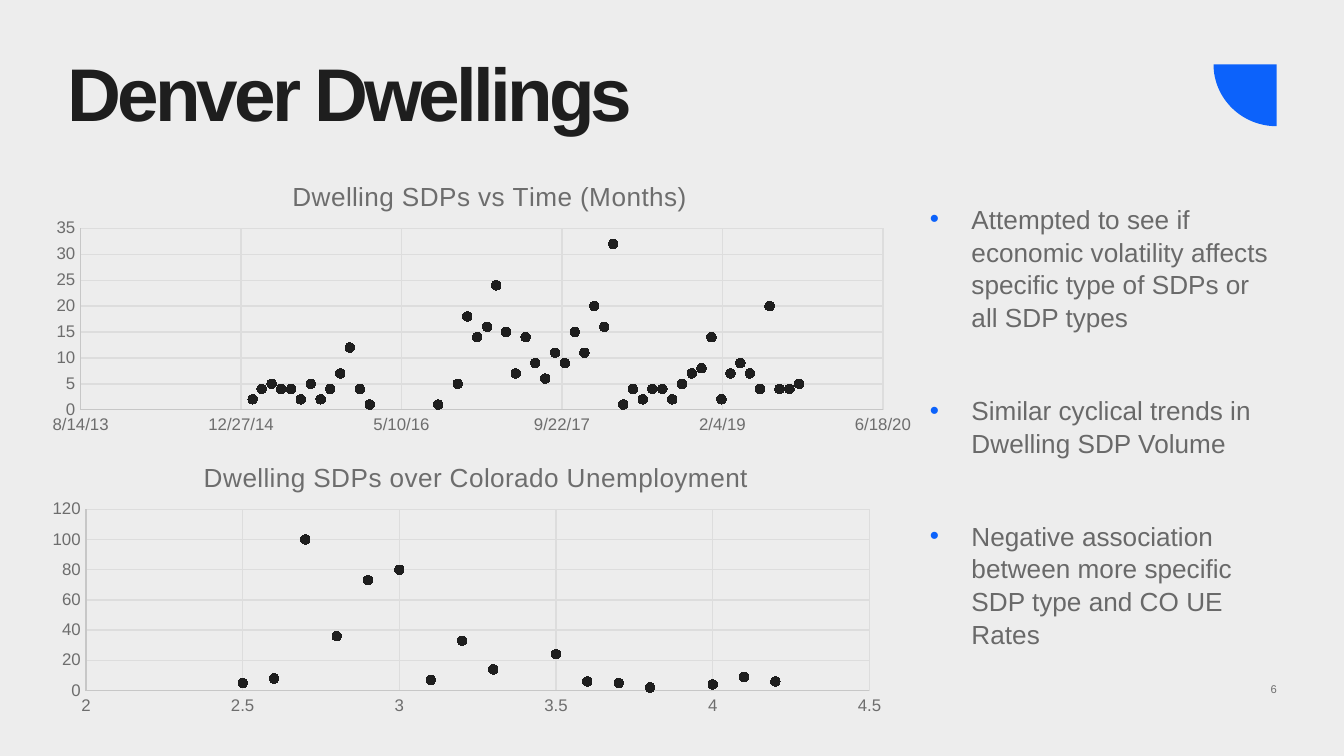
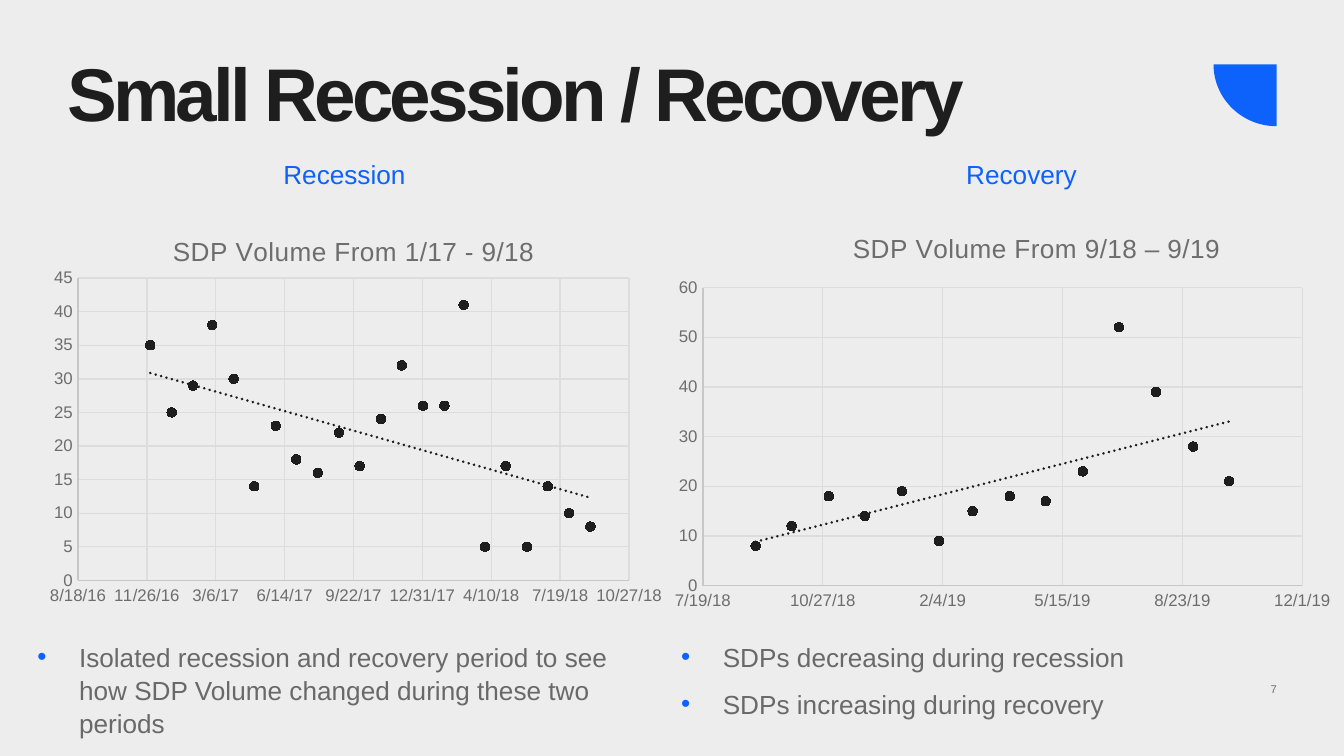
"""Builds two slides about dwelling SDP volume with scatter charts and bullets."""
from dataclasses import dataclass
from itertools import chain
from math import cos, pi, sin
from typing import Optional, Sequence

from lxml.etree import SubElement
from pptx import Presentation
from pptx.chart.data import XyChartData
from pptx.dml.color import RGBColor
from pptx.enum.chart import XL_CHART_TYPE as ChartType
from pptx.enum.chart import XL_MARKER_STYLE as MarkerStyle
from pptx.enum.chart import XL_TICK_MARK as TickMark
from pptx.enum.text import MSO_ANCHOR as Anchor
from pptx.enum.text import MSO_AUTO_SIZE as AutoSize
from pptx.enum.text import PP_ALIGN as Align
from pptx.oxml import parse_xml
from pptx.oxml.ns import nsdecls, qn
from pptx.util import Inches, Pt

FONT = "Arial"
PAPER, INK, BLUE = "EDEDED", "1E1E1E", "0C62FB"
BODY, LABEL, NUMBER = "696969", "6D6D6D", "6E6E6E"
AXIS, GRID = "C7C7C7", "DDDDDD"
WIDTH, HEIGHT = Inches(10), Inches(5.625)
CELL = WIDTH / 100
TITLE_ONLY = 5


@dataclass(frozen=True)
class Box:
    """An area in grid cells, each a hundredth of the slide's width."""
    left: float
    top: float
    width: float
    height: float

    def lengths(self) -> list[int]:
        """Return left, top, width and height as slide lengths."""
        return [round(cells * CELL)
                for cells in (self.left, self.top, self.width, self.height)]


@dataclass(frozen=True)
class Scatter:
    """A scatter chart with the places of its frame, plot and heading."""
    heading: str
    frame: Box
    plot: Box
    heading_left: float
    heading_top: float
    across: Sequence[float]
    values: Sequence[float]
    dated: bool = True
    trend: bool = False
    minimum: Optional[float] = None


@dataclass(frozen=True)
class Words:
    """Paragraphs in one text box."""
    lines: Sequence[str]
    box: Box
    color: str = BODY
    bulleted: bool = True
    gap: float = 7.5


@dataclass(frozen=True)
class Page:
    """Everything that one slide shows."""
    number: int
    title: str
    title_box: Box
    charts: Sequence[Scatter]
    texts: Sequence[Words]


def rgb(color: str) -> RGBColor:
    """Turn a hex string into a colour."""
    return RGBColor.from_string(color)


def month_starts(year: int, month: int, count: int) -> list[int]:
    """Return date serials of the first day of successive months."""
    serials = []
    for index in range(month - 1, month - 1 + count):
        y, m = year + index // 12, index % 12 + 1
        serials.append(367 * y - 7 * (y + (m + 9) // 12) // 4 + 275 * m // 9 - 694004)
    return serials


def style_font(font, size: float, color: str, bold: bool = False) -> None:
    """Apply the deck's typeface with a size and colour."""
    font.name, font.size, font.bold = FONT, Pt(size), bold
    font.color.rgb = rgb(color)


def style_line(line, color: str) -> None:
    """Give a chart line its colour and thin width."""
    line.color.rgb, line.width = rgb(color), Pt(0.75)


def clear_margins(frame) -> None:
    """Remove all insets of a text frame."""
    frame.margin_left = frame.margin_right = frame.margin_top = frame.margin_bottom = 0


def add_bullet(para) -> None:
    """Give a paragraph a blue bullet and a hanging indent."""
    properties = para._p.get_or_add_pPr()
    properties.set("marL", str(Inches(0.31)))
    properties.set("indent", str(-Inches(0.31)))
    SubElement(SubElement(properties, qn("a:buClr")), qn("a:srgbClr"), val=BLUE)
    SubElement(properties, qn("a:buFont"), typeface=FONT)
    SubElement(properties, qn("a:buChar"), char="•")


def add_words(slide, words: Words) -> None:
    """Draw a text box with plain or bulleted paragraphs."""
    frame = slide.shapes.add_textbox(*words.box.lengths()).text_frame
    frame.word_wrap = True
    frame.text = "\n".join(words.lines)
    for para in frame.paragraphs:
        para.space_before, para.line_spacing = Pt(words.gap), 1.05
        style_font(para.runs[0].font, 14, words.color)
        if words.bulleted:
            add_bullet(para)


def add_title(slide, text: str, box: Box) -> None:
    """Place and format the title placeholder."""
    title = slide.shapes.title
    title.left, title.top, title.width, title.height = box.lengths()
    frame = title.text_frame
    frame.text = text
    frame.word_wrap, frame.auto_size = True, AutoSize.NONE
    frame.vertical_anchor = Anchor.TOP
    clear_margins(frame)
    para = frame.paragraphs[0]
    para.alignment, para.line_spacing = Align.LEFT, 0.8
    run = para.runs[0]
    style_font(run.font, 40, INK, bold=True)
    run._r.get_or_add_rPr().set("spc", "-200")


def add_number(slide, number: int) -> None:
    """Write the page number at the lower right."""
    frame = slide.shapes.add_textbox(*Box(89, 49.9, 6, 1.9).lengths()).text_frame
    frame.word_wrap, frame.vertical_anchor = True, Anchor.BOTTOM
    clear_margins(frame)
    frame.text = str(number)
    para = frame.paragraphs[0]
    para.alignment, para.line_spacing, para.space_before = Align.RIGHT, 1.5, Pt(12)
    style_font(para.runs[0].font, 6, NUMBER)


def add_wedge(slide) -> None:
    """Draw the blue quarter disc at the upper right."""
    right, top, across, down, steps = 95, 4.8, 4.7, 4.6, 32
    angles = [pi / 2 * step / steps for step in range(steps + 1)]
    arc = [((right - across * cos(angle)) * CELL, (top + down * sin(angle)) * CELL)
           for angle in angles]
    builder = slide.shapes.build_freeform(round(right * CELL), round(top * CELL))
    builder.add_line_segments(arc, close=True)
    wedge = builder.convert_to_shape()
    wedge.shadow.inherit = False
    wedge.fill.solid()
    wedge.fill.fore_color.rgb = rgb(BLUE)
    wedge.line.fill.background()


def set_layout(parent, index: int, target: str = "", **shares: float) -> None:
    """Fix the place of a chart part by shares of the chart's frame."""
    for old in parent.findall(qn("c:layout")):
        parent.remove(old)
    layout = parse_xml(f"<c:layout {nsdecls('c')}/>")
    parent.insert(index, layout)
    manual = SubElement(layout, qn("c:manualLayout"))
    if target:
        SubElement(manual, qn("c:layoutTarget"), val=target)
    for mode in ("xMode", "yMode"):
        SubElement(manual, qn(f"c:{mode}"), val="edge")
    for name, share in shares.items():
        SubElement(manual, qn(f"c:{name}"), val=f"{share:.4f}")


def add_trend(series) -> None:
    """Add a dotted linear trend line to a series."""
    trend = parse_xml(
        f'<c:trendline {nsdecls("c", "a")}><c:spPr><a:ln w="{Pt(1.5)}" cap="rnd">'
        f'<a:solidFill><a:srgbClr val="{INK}"/></a:solidFill>'
        '<a:prstDash val="sysDot"/></a:ln></c:spPr><c:trendlineType val="linear"/>'
        '<c:dispRSqr val="0"/><c:dispEq val="0"/></c:trendline>')
    series._element.find(qn("c:xVal")).addprevious(trend)


def add_heading(chart, scatter: Scatter) -> None:
    """Write and place the chart's heading."""
    frame = chart.chart_title.text_frame
    frame.text = scatter.heading
    run = frame.paragraphs[0].runs[0]
    style_font(run.font, 14, LABEL)
    run._r.get_or_add_rPr().set("spc", "10")
    area = scatter.frame
    set_layout(chart.element.find(".//" + qn("c:title")), 1,
               x=(scatter.heading_left - area.left) / area.width,
               y=(scatter.heading_top - area.top) / area.height)


def add_scatter(slide, scatter: Scatter) -> None:
    """Draw one scatter chart with its axes, heading and trend."""
    data = XyChartData()
    points = data.add_series("Series 1")
    for x, y in zip(scatter.across, scatter.values):
        points.add_data_point(x, y)
    area, plot = scatter.frame, scatter.plot
    chart = slide.shapes.add_chart(ChartType.XY_SCATTER, *area.lengths(), data).chart
    style_font(chart.font, 10, INK)
    chart.has_legend = False
    chart.plots[0].vary_by_categories = False
    add_heading(chart, scatter)
    set_layout(chart.element.find(".//" + qn("c:plotArea")), 0, "inner",
               x=(plot.left - area.left) / area.width,
               y=(plot.top - area.top) / area.height,
               w=plot.width / area.width, h=plot.height / area.height)
    for axis in (chart.category_axis, chart.value_axis):
        axis.has_major_gridlines = True
        axis.major_tick_mark = axis.minor_tick_mark = TickMark.NONE
        style_line(axis.format.line, AXIS)
        style_line(axis.major_gridlines.format.line, GRID)
        style_font(axis.tick_labels.font, 9, LABEL)
    labels = chart.category_axis.tick_labels
    labels.number_format = "m/d/yy" if scatter.dated else "General"
    labels.number_format_is_linked = False
    if scatter.minimum is not None:
        chart.category_axis.minimum_scale = scatter.minimum
    series = chart.plots[0].series[0]
    series.format.line.fill.background()
    marker = series.marker
    marker.style, marker.size = MarkerStyle.CIRCLE, 5
    marker.format.fill.solid()
    marker.format.fill.fore_color.rgb = rgb(INK)
    style_line(marker.format.line, INK)
    if scatter.trend:
        add_trend(series)


def add_page(deck, page: Page) -> None:
    """Add one slide with its shared and its own parts."""
    slide = deck.slides.add_slide(deck.slide_layouts[TITLE_ONLY])
    add_number(slide, page.number)
    add_wedge(slide)
    add_title(slide, page.title, page.title_box)
    for scatter in page.charts:
        add_scatter(slide, scatter)
    for words in page.texts:
        add_words(slide, words)


DWELLING_MONTHS = list(chain(
    month_starts(2015, 2, 13), month_starts(2016, 9, 1), month_starts(2016, 11, 36)))
DWELLING_VOLUME = [
    2, 4, 5, 4, 4, 2, 5, 2, 4, 7, 12, 4, 1, 1, 5, 18, 14, 16, 24, 15, 7, 14, 9, 6, 11,
    9, 15, 11, 20, 16, 32, 1, 4, 2, 4, 4, 2, 5, 7, 8, 14, 2, 7, 9, 7, 4, 20, 4, 4, 5]
UNEMPLOYMENT = [2.5, 2.6, 2.7, 2.8, 2.9, 3, 3.1, 3.2, 3.3, 3.5, 3.6, 3.7, 3.8, 4, 4.1, 4.2]
UNEMPLOYMENT_VOLUME = [5, 8, 100, 36, 73, 80, 7, 33, 14, 24, 6, 5, 2, 4, 9, 6]
RECESSION_VOLUME = [35, 25, 29, 38, 30, 14, 23, 18, 16, 22, 17, 24, 32, 26, 26, 41, 5, 17,
                    5, 14, 10, 8]
RECOVERY_VOLUME = [8, 12, 18, 14, 19, 9, 15, 18, 17, 23, 52, 39, 28, 21]

PAGES = [
    Page(6, "Denver Dwellings", Box(5, 4.8, 52.5, 9.7), [
        Scatter("Dwelling SDPs vs Time (Months)", Box(2.7, 11.7, 66.5, 21.1),
                Box(6, 17, 59.7, 13.5), 21.4, 13, DWELLING_MONTHS, DWELLING_VOLUME),
        Scatter("Dwelling SDPs over Colorado Unemployment", Box(2.7, 32.6, 64.2, 21.1),
                Box(6.4, 37.9, 58.3, 13.5), 14.8, 33.9, UNEMPLOYMENT,
                UNEMPLOYMENT_VOLUME, dated=False, minimum=2),
    ], [
        Words(["Attempted to see if economic volatility affects specific type of SDPs "
               "or all SDP types",
               "Similar cyclical trends in Dwelling SDP Volume",
               "Negative association between more specific SDP type and CO UE Rates"],
              Box(68.2, 14.5, 28.2, 42), gap=32),
    ]),
    Page(7, "Small Recession / Recovery", Box(5, 4.8, 78.4, 6.4), [
        Scatter("SDP Volume From 1/17 - 9/18", Box(1.5, 15.6, 48.5, 30.5),
                Box(5.8, 20.7, 41, 22.5), 12.5, 17.1, month_starts(2016, 12, 22),
                RECESSION_VOLUME, trend=True),
        Scatter("SDP Volume From 9/18 – 9/19", Box(49.3, 15.6, 50.7, 30.5),
                Box(52.3, 21.4, 44.6, 22.2), 63.1, 16.9, month_starts(2018, 9, 14),
                RECOVERY_VOLUME, trend=True),
    ], [
        Words(["Recession"], Box(20.1, 11.2, 11.3, 4.3), BLUE, bulleted=False),
        Words(["Recovery"], Box(70.9, 11.2, 10.5, 4.3), BLUE, bulleted=False),
        Words(["Isolated recession and recovery period to see how SDP Volume changed "
               "during these two periods"], Box(1.8, 47.1, 48.5, 6.7)),
        Words(["SDPs decreasing during recession", "SDPs increasing during recovery"],
              Box(49.7, 47.1, 36.3, 6.7)),
    ]),
]

deck = Presentation()
deck.slide_width, deck.slide_height = WIDTH, HEIGHT
background = deck.slide_master.background.fill
background.solid()
background.fore_color.rgb = rgb(PAPER)
for page in PAGES:
    add_page(deck, page)
deck.save("out.pptx")
